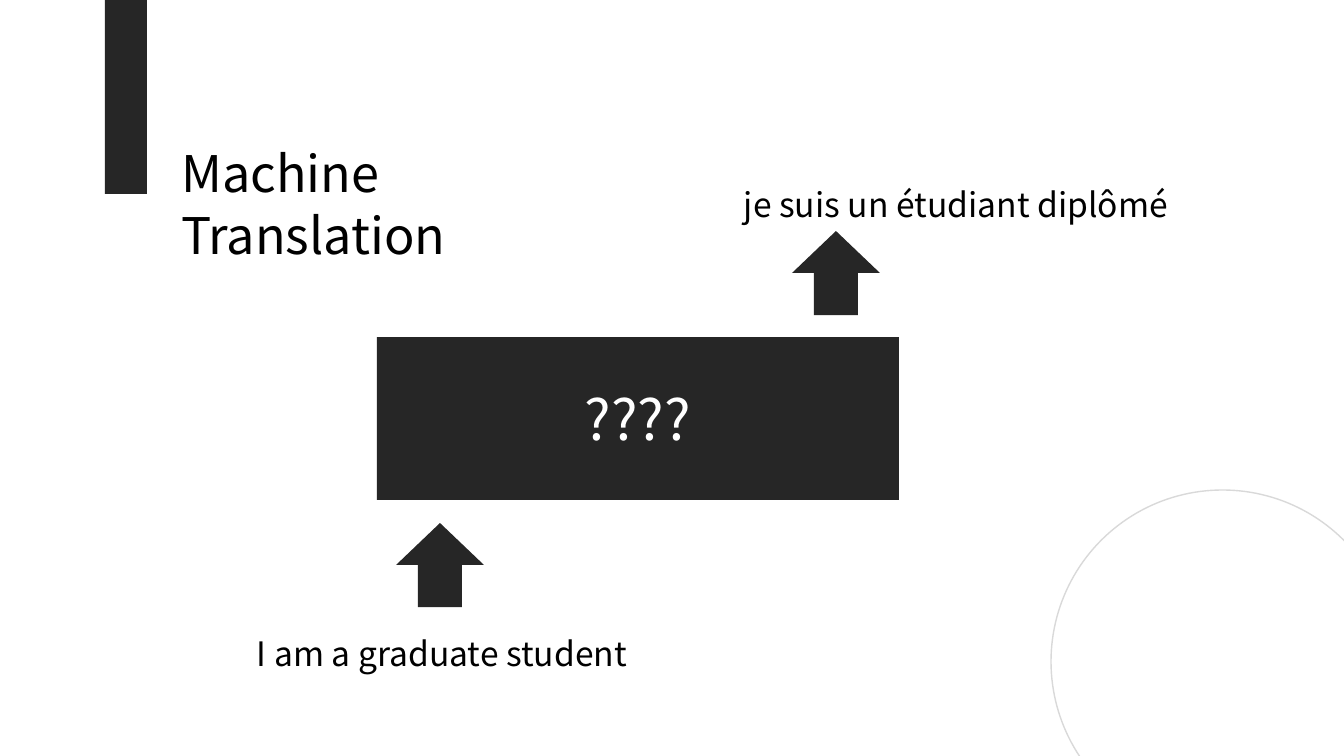
"""Builds the Machine Translation slide: a sentence goes into an unknown box and comes out translated."""
from pptx import Presentation
from pptx.dml.color import RGBColor
from pptx.enum.shapes import MSO_SHAPE
from pptx.enum.text import MSO_ANCHOR, MSO_AUTO_SIZE, PP_ALIGN
from pptx.oxml.ns import qn
from pptx.util import Pt

RECT, OVAL, UP_ARROW = MSO_SHAPE.RECTANGLE, MSO_SHAPE.OVAL, MSO_SHAPE.UP_ARROW
TOP, MIDDLE = MSO_ANCHOR.TOP, MSO_ANCHOR.MIDDLE
LEFT, CENTER = PP_ALIGN.LEFT, PP_ALIGN.CENTER
NO_FIT = MSO_AUTO_SIZE.NONE

BLACK = RGBColor(0x00, 0x00, 0x00)
WHITE = RGBColor(0xFF, 0xFF, 0xFF)
DARK = RGBColor(0x26, 0x26, 0x26)
PALE = RGBColor(0xD9, 0xD9, 0xD9)
FONT_JP = "Noto Sans CJK JP"
FONT_KR = "Noto Sans CJK KR"
PX = 914400 / 100.8


def px(*lengths):
    return [round(n * PX) for n in lengths]


def write(sp, text, size, font=FONT_JP, color=BLACK, align=LEFT, anchor=TOP, spacing=None):
    tf = sp.text_frame
    tf.word_wrap = True
    tf.auto_size = NO_FIT
    tf.vertical_anchor = anchor
    p = tf.paragraphs[0]
    p.alignment = align
    if spacing:
        p.line_spacing = Pt(spacing)
    r = p.add_run()
    r.text = text
    r.font.size = Pt(size)
    r.font.name = font
    r.font.color.rgb = color
    ea = r.font._element.makeelement(qn("a:ea"), {"typeface": font})
    r.font._element.find(qn("a:latin")).addnext(ea)


prs = Presentation()
prs.slide_width, prs.slide_height = px(1344, 756)
s = prs.slides.add_slide(prs.slide_layouts[5])

title = s.shapes.title
title.left, title.top, title.width, title.height = px(171, 136, 410, 133)
write(title, "Machine Translation", 36, spacing=44)

circle = s.shapes.add_shape(OVAL, *px(1051, 490, 343, 343))
circle.shadow.inherit = False
circle.fill.background()
circle.line.color.rgb = PALE
circle.line.width = Pt(1)

solids = [
    (RECT, 105, 0, 42, 194),
    (UP_ARROW, 396, 523, 88, 84),
    (UP_ARROW, 792, 231, 88, 84),
    (RECT, 377, 337, 522, 163),
]
for kind, *box in solids:
    sp = s.shapes.add_shape(kind, *px(*box))
    sp.shadow.inherit = False
    sp.fill.solid()
    sp.fill.fore_color.rgb = DARK
    sp.line.fill.background()
write(sp, "????", 40, color=WHITE, align=CENTER, anchor=MIDDLE)

sentences = [
    ("I am a graduate student", 247, 607, 416),
    ("je suis un étudiant diplômé", 734, 158, 467),
]
for text, x, y, w in sentences:
    write(s.shapes.add_textbox(*px(x, y, w, 72)), text, 24, font=FONT_KR, spacing=44)

prs.save("out.pptx")
